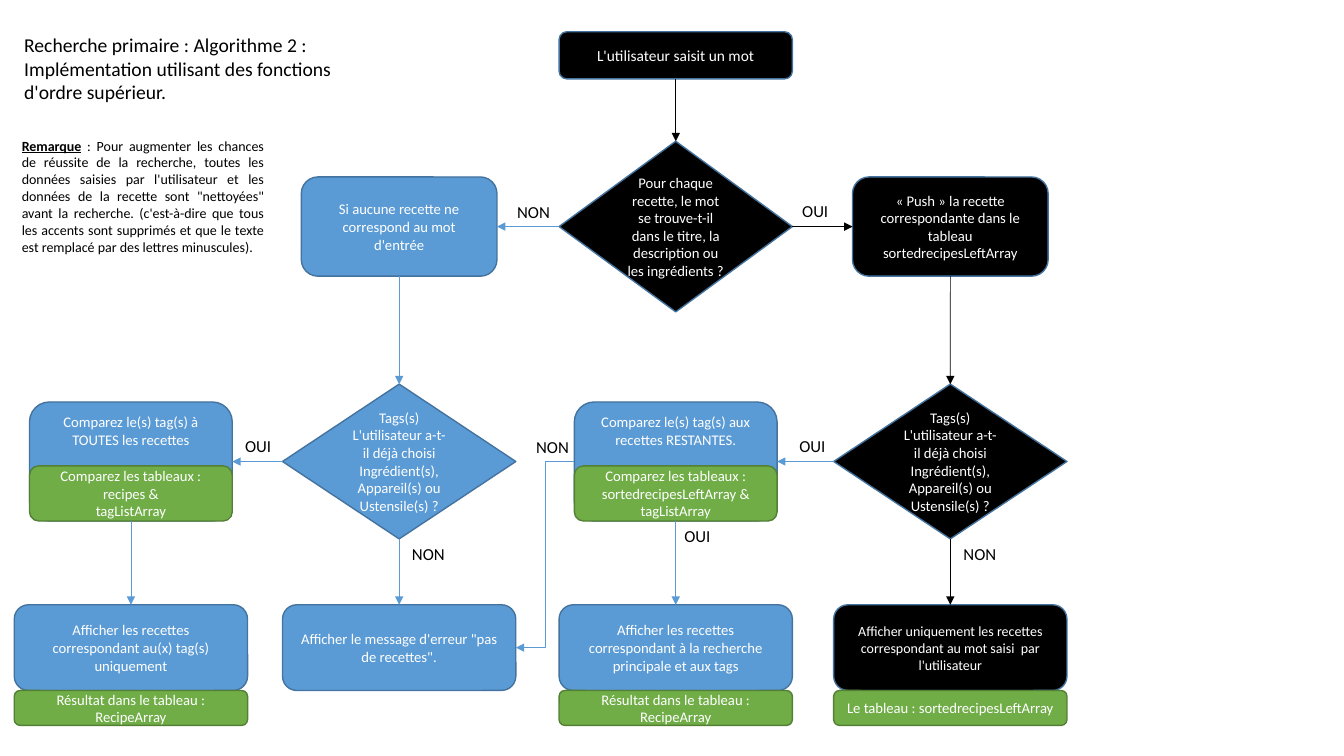
"""Build the flowchart slide of the recipe search, algorithm 2."""
from lxml.etree import SubElement
from pptx import Presentation
from pptx.dml.color import RGBColor
from pptx.enum.shapes import MSO_CONNECTOR, MSO_SHAPE
from pptx.enum.text import MSO_ANCHOR, MSO_AUTO_SIZE, PP_ALIGN
from pptx.oxml.ns import qn
from pptx.util import Cm, Pt

BLACK = RGBColor(0x00, 0x00, 0x00)
WHITE = RGBColor(0xFF, 0xFF, 0xFF)
BLUE = RGBColor(0x5B, 0x9B, 0xD5)
BLUE_EDGE = RGBColor(0x43, 0x73, 0x9E)
GREEN = RGBColor(0x70, 0xAD, 0x47)
GREEN_EDGE = RGBColor(0x53, 0x80, 0x35)

COL1, COL2, COL3, COL4 = 3.3, 10.06, 17.03, 23.95
WIDE, MEDIUM, NARROW = 5.88, 5.11, 4.93
TOP, LEFT, BOTTOM, RIGHT = range(4)


class Flowchart:
    """Hold the style and the current slide."""

    font = "Calibri"

    def __init__(self, prs):
        self.s = prs.slides.add_slide(prs.slide_layouts[6])

    def set_text(self, tf, text, size, color, align):
        tf.text = text
        for p in tf.paragraphs:
            p.alignment = align
            for r in p.runs:
                r.font.name, r.font.size = self.font, Pt(size)
                r.font.color.rgb = color

    def node(self, text, center, top, width, height, fill, size=10.5,
             kind=MSO_SHAPE.ROUNDED_RECTANGLE, anchor=MSO_ANCHOR.MIDDLE):
        sp = self.s.shapes.add_shape(
            kind, Cm(center - width / 2), Cm(top), Cm(width), Cm(height))
        sp.shadow.inherit = False
        sp.fill.solid()
        sp.fill.fore_color.rgb = fill
        sp.line.color.rgb = GREEN_EDGE if fill == GREEN else BLUE_EDGE
        sp.line.width = Pt(1)
        tf = sp.text_frame
        tf.word_wrap, tf.vertical_anchor = True, anchor
        self.set_text(tf, text, size, WHITE, PP_ALIGN.CENTER)
        return sp

    def decision(self, text, center, top, height, fill):
        return self.node(text, center, top, WIDE, height, fill, kind=MSO_SHAPE.DIAMOND)

    def side_box(self, text, center, fill):
        return self.node(text, center, 4.46, NARROW, 2.5, fill)

    def compare(self, text, tables, center):
        box = self.node(text, center, 10.13, MEDIUM, 3, BLUE, anchor=MSO_ANCHOR.TOP)
        self.node(tables, center, 11.74, MEDIUM, 1.39, GREEN)
        return box

    def result(self, text, center, fill=BLUE, size=10.5, table=None):
        box = self.node(text, center, 15.24, WIDE, 2.16, fill, size)
        if table:
            self.node(table, center, 17.4, WIDE, 0.88, GREEN)
        return box

    def arrow(self, start, start_side, end, end_side, color=BLUE,
              kind=MSO_CONNECTOR.STRAIGHT):
        c = self.s.shapes.add_connector(kind, 0, 0, 0, 0)
        c.begin_connect(start, start_side)
        c.end_connect(end, end_side)
        c.line.color.rgb = color
        c.line.width = Pt(0.5)
        sp_pr = c._element.spPr
        SubElement(sp_pr.find(qn("a:ln")), qn("a:tailEnd"), type="triangle")
        SubElement(sp_pr, qn("a:effectLst"))

    def text(self, text, left, top, width, height, size=12,
             align=PP_ALIGN.CENTER, wrap=False):
        tf = self.s.shapes.add_textbox(Cm(left), Cm(top), Cm(width), Cm(height)).text_frame
        tf.word_wrap, tf.auto_size = wrap, MSO_AUTO_SIZE.SHAPE_TO_FIT_TEXT
        self.set_text(tf, text, size, BLACK, align)
        return tf

    def remark(self, title, body, left, top, width, height):
        tf = self.text(title, left, top, width, height, 10, PP_ALIGN.JUSTIFY, True)
        p = tf.paragraphs[0]
        p.runs[0].font.bold = p.runs[0].font.underline = True
        r = p.add_run()
        r.text = body
        r.font.name, r.font.size, r.font.color.rgb = self.font, Pt(10), BLACK


prs = Presentation()
prs.slide_width, prs.slide_height = Cm(33.87), Cm(19.05)
chart = Flowchart(prs)

chart.text("Recherche primaire : Algorithme 2 :\n"
           "Implémentation utilisant des fonctions d'ordre supérieur.",
           0.36, 0.71, 8.43, 2.06, 14, PP_ALIGN.LEFT, True)
chart.remark("Remarque",
             " : Pour augmenter les chances de réussite de la recherche, toutes les "
             "données saisies par l'utilisateur et les données de la recette sont "
             "\"nettoyées\" avant la recherche. (c'est-à-dire que tous les accents sont "
             "supprimés et que le texte est remplacé par des lettres minuscules).",
             0.3, 3.33, 6.6, 3.25)

TAGS = ("Tags(s)\nL'utilisateur a-t-il déjà choisi\n"
        "Ingrédient(s), Appareil(s) ou Ustensile(s) ?")
RECIPE_TABLE = "Résultat dans le tableau : RecipeArray"

entry = chart.node("L'utilisateur saisit un mot", COL3, 0.8, WIDE, 1.19, BLACK, 11)
word = chart.decision("Pour chaque recette, le mot se trouve-t-il dans le titre, la "
                      "description ou les ingrédients ?", COL3, 3.56, 4.3, BLACK)
no_match = chart.side_box("Si aucune recette ne correspond au mot d'entrée", COL2, BLUE)
push = chart.side_box("«\u00a0Push\u00a0»\u00a0la recette correspondante dans le tableau "
                      "sortedrecipesLeftArray", COL4, BLACK)
tags_all = chart.decision(TAGS, COL2, 9.68, 3.9, BLUE)
tags_left = chart.decision(TAGS, COL4, 9.68, 3.9, BLACK)
compare_all = chart.compare("Comparez le(s) tag(s) à TOUTES les recettes",
                            "Comparez les tableaux : recipes &\ntagListArray", COL1)
compare_left = chart.compare(
    "Comparez le(s) tag(s) aux recettes RESTANTES.",
    "Comparez les tableaux : sortedrecipesLeftArray &\ntagListArray", COL3)
show_tags = chart.result("Afficher les recettes correspondant au(x) tag(s) uniquement",
                         COL1, table=RECIPE_TABLE)
error = chart.result("Afficher le message d'erreur \"pas de recettes\".", COL2)
show_both = chart.result("Afficher les recettes correspondant à la recherche principale "
                         "et aux tags", COL3, table=RECIPE_TABLE)
show_word = chart.result("Afficher uniquement les recettes correspondant au mot saisi  par "
                         "l'utilisateur", COL4, BLACK, 10,
                         "Le tableau : sortedrecipesLeftArray")

for start, end, color in [
        (entry, word, BLACK), (push, tags_left, BLACK), (tags_left, show_word, BLACK),
        (no_match, tags_all, BLUE), (tags_all, error, BLUE),
        (compare_all, show_tags, BLUE), (compare_left, show_both, BLUE)]:
    chart.arrow(start, BOTTOM, end, TOP, color)
for start, end in [(word, no_match), (tags_all, compare_all), (tags_left, compare_left)]:
    chart.arrow(start, LEFT, end, RIGHT)
chart.arrow(word, RIGHT, push, LEFT, BLACK)
chart.arrow(compare_left, LEFT, error, RIGHT, kind=MSO_CONNECTOR.ELBOW)

for left, top in [(19.96, 4.93), (5.92, 10.85), (19.89, 10.85), (16.99, 13.13)]:
    chart.text("OUI", left, top, 1.17, 0.76)
for left, top in [(12.73, 4.95), (13.21, 10.87), (10.08, 13.58), (23.98, 13.58)]:
    chart.text("NON", left, top, 1.43, 0.76)

prs.save("out.pptx")
